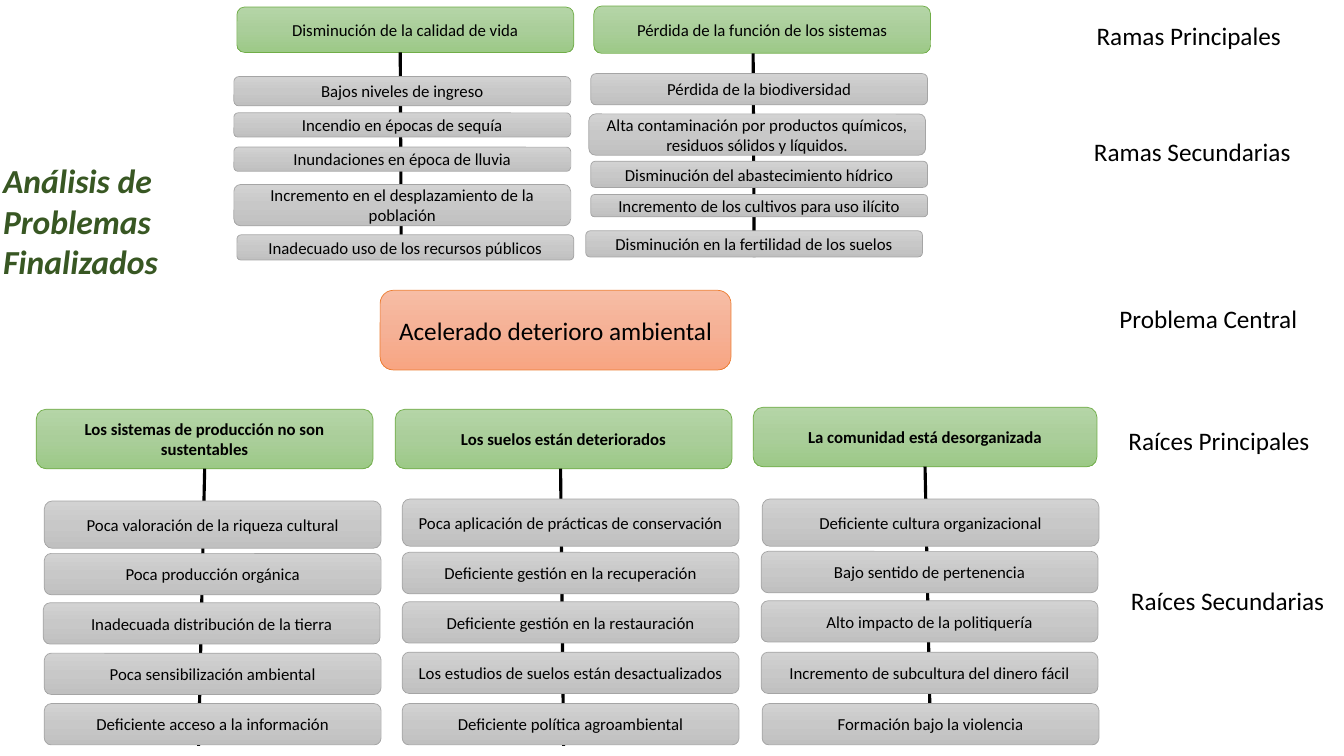
from copy import deepcopy
from dataclasses import dataclass

from pptx import Presentation
from pptx import util as u
from pptx.dml.color import RGBColor
from pptx.enum import shapes, text
from pptx.oxml.ns import qn
from pptx.oxml import xmlchemy as xml

# Grid of the slide: square cells, 133.3 columns by 75 rows
COLS, ROWS = 133.3, 75
CELL = u.Inches(7.5) / ROWS
WIDE = 33.4
NEAR = 0.2

HUES = {
    "ink": "000000",
    "title": "385723",
    "green": ("B5D5A7", "AACE9A", "9CC987", "70AD47"),
    "gray": ("D2D2D2", "C8C8C8", "C0C0C0", "A5A5A5"),
    "peach": ("F7BDA5", "F5B196", "F8A582", "ED7D31"),
}


@dataclass
class Box:
    left: float
    top: float
    wide: float
    high: float
    words: str

    @property
    def mid(self) -> float:
        return self.left + self.wide / 2

    @property
    def base(self) -> float:
        return self.top + self.high


@dataclass
class Leaf:
    top: float
    high: float
    words: str
    shift: float = 0


@dataclass
class Stem:
    head: Box
    left: float
    ends: tuple[float, float]
    foot: float
    leaves: list[Leaf]
    bold: bool = False


STEMS = [
    Stem(Box(3.6, 40.6, WIDE, 5.9, "Los sistemas de producción no son sustentables"),
         4.4, (20.3, 19.7), 74, [
        Leaf(49.7, 4.7, "Poca valoración de la riqueza cultural"),
        Leaf(54.9, 4.1, "Poca producción orgánica"),
        Leaf(59.8, 4.1, "Inadecuada distribución de la tierra", -0.1),
        Leaf(64.8, 4.1, "Poca sensibilización ambiental"),
        Leaf(69.8, 4.1, "Deficiente acceso a la información"),
    ], bold=True),
    Stem(Box(39.2, 40.6, WIDE, 5.9, "Los suelos están deteriorados"),
         39.9, (55.6, 55.9), 74, [
        Leaf(49.5, 4.7, "Poca aplicación de prácticas de conservación"),
        Leaf(54.8, 4.1, "Deficiente gestión en la recuperación"),
        Leaf(59.7, 4.1, "Deficiente gestión en la restauración"),
        Leaf(64.7, 4.1, "Los estudios de suelos están desactualizados"),
        Leaf(69.8, 4.1, "Deficiente política agroambiental"),
    ], bold=True),
    Stem(Box(74.7, 40.4, 34.1, 5.9, "La comunidad está desorganizada"),
         75.5, (91.8, 92.2), 74, [
        Leaf(49.5, 4.7, "Deficiente cultura organizacional", 0.1),
        Leaf(54.7, 4.1, "Bajo sentido de pertenencia"),
        Leaf(59.6, 4.1, "Alto impacto de la politiquería"),
        Leaf(64.7, 4.1, "Incremento de subcultura del dinero fácil"),
        Leaf(69.8, 4.1, "Formación bajo la violencia", 0.1),
    ], bold=True),
    Stem(Box(23.5, 0.7, WIDE, 4.5, "Disminución de la calidad de vida"),
         23.2, (39.7, 39.8), 25.6, [
        Leaf(7.6, 2.9, "Bajos niveles de ingreso"),
        Leaf(11.2, 2.4, "Incendio en épocas de sequía"),
        Leaf(14.6, 2.4, "Inundaciones en época de lluvia"),
        Leaf(18.3, 4.1, "Incremento en el desplazamiento de la población"),
        Leaf(23.3, 2.5, "Inadecuado uso de los recursos públicos", 0.3),
    ]),
    Stem(Box(58.9, 0.6, WIDE, 4.7, "Pérdida de la función de los sistemas"),
         58.6, (74.7, 74.8), 25.6, [
        Leaf(7.3, 3.1, "Pérdida de la biodiversidad"),
        Leaf(11.3, 4.1, "Alta contaminación por productos químicos, "
                        "residuos sólidos y líquidos.", -0.2),
        Leaf(16, 2.6, "Disminución del abastecimiento hídrico"),
        Leaf(19.3, 2.2, "Incremento de los cultivos para uso ilícito"),
        Leaf(22.9, 2.6, "Disminución en la fertilidad de los suelos", -0.5),
    ]),
]

CORE = Box(37.7, 28.8, 34.8, 7.9, "Acelerado deterioro ambiental")
TITLE = Box(-0.7, 15.4, 22.9, 13.1, "Análisis de Problemas Finalizados")
LABELS = [
    Box(105.8, 1.5, 24.2, 4, "Ramas Principales"),
    Box(105.8, 13, 24.9, 4, "Ramas Secundarias"),
    Box(109.7, 29.6, 20.3, 4, "Problema Central"),
    Box(108.8, 41.7, 24.2, 4, "Raíces Principales"),
    Box(109.7, 57.6, 24.1, 4, "Raíces Secundarias"),
]


def span(*cells: float) -> list[int]:
    """Turn grid cells into slide lengths."""
    return [round(n * CELL) for n in cells]


def frame(box: Box) -> list[int]:
    return span(box.left, box.top, box.wide, box.high)


def write(shape, words: str, *, size: int = 12, hue: str = HUES["ink"],
          bold: bool = False, slant: bool = False,
          align=text.PP_ALIGN.CENTER, anchor=text.MSO_ANCHOR.MIDDLE) -> None:
    body = shape.text_frame
    body.word_wrap = True
    body.auto_size = text.MSO_AUTO_SIZE.NONE
    body.vertical_anchor = anchor
    para = body.paragraphs[0]
    para.alignment = align
    run = para.add_run()
    run.text = words
    font = run.font
    font.name, font.size = "Calibri", u.Pt(size)
    font.bold, font.italic = bold, slant
    font.color.rgb = RGBColor.from_string(hue)


def card(slide, box: Box, tone: str, **style):
    """Draw a rounded box with a three-stop downward gradient."""
    shape = slide.shapes.add_shape(shapes.MSO_SHAPE.ROUNDED_RECTANGLE, *frame(box))
    shape.shadow.inherit = False
    *stops, edge = HUES[tone]
    fill = shape.fill
    fill.gradient()
    fill.gradient_angle = 270
    group = shape._element.spPr.find(".//" + qn("a:gsLst"))
    group.insert(1, deepcopy(group[0]))
    for step, (stop, hue) in enumerate(zip(fill.gradient_stops, stops)):
        stop.position = step / 2
        stop.color.rgb = RGBColor.from_string(hue)
    shape.line.color.rgb = RGBColor.from_string(edge)
    shape.line.width = u.Pt(0.5)
    write(shape, box.words, **style)
    return shape


def grow(slide, stem: Stem) -> None:
    """Draw a head, its line and the leaves that lie over the line."""
    head = card(slide, stem.head, "green", bold=stem.bold)
    start, end = stem.ends
    line = slide.shapes.add_connector(
        shapes.MSO_CONNECTOR.STRAIGHT,
        *span(start, stem.head.base, end, stem.foot))
    line.line.color.rgb = RGBColor.from_string(HUES["ink"])
    line.line.width = u.Pt(2.25)
    line._element.spPr.append(xml.OxmlElement("a:effectLst"))
    for leaf in stem.leaves:
        box = Box(stem.left + leaf.shift, leaf.top, WIDE, leaf.high, leaf.words)
        last = card(slide, box, "gray")
    if abs(start - stem.head.mid) < NEAR:
        line.begin_connect(head, 2)
    if abs(end - box.mid) < NEAR:
        line.end_connect(last, 2)


def main() -> None:
    deck = Presentation()
    deck.slide_width, deck.slide_height = span(COLS, ROWS)
    slide = deck.slides.add_slide(deck.slide_layouts[5])
    title = slide.shapes.title
    title.left, title.top, title.width, title.height = frame(TITLE)
    write(title, TITLE.words, size=24, hue=HUES["title"], bold=True, slant=True,
          align=text.PP_ALIGN.LEFT, anchor=text.MSO_ANCHOR.TOP)
    for stem in STEMS:
        grow(slide, stem)
    card(slide, CORE, "peach", size=18)
    for label in LABELS:
        write(slide.shapes.add_textbox(*frame(label)), label.words, size=18,
              anchor=text.MSO_ANCHOR.TOP)
    deck.save("out.pptx")


if __name__ == "__main__":
    main()
